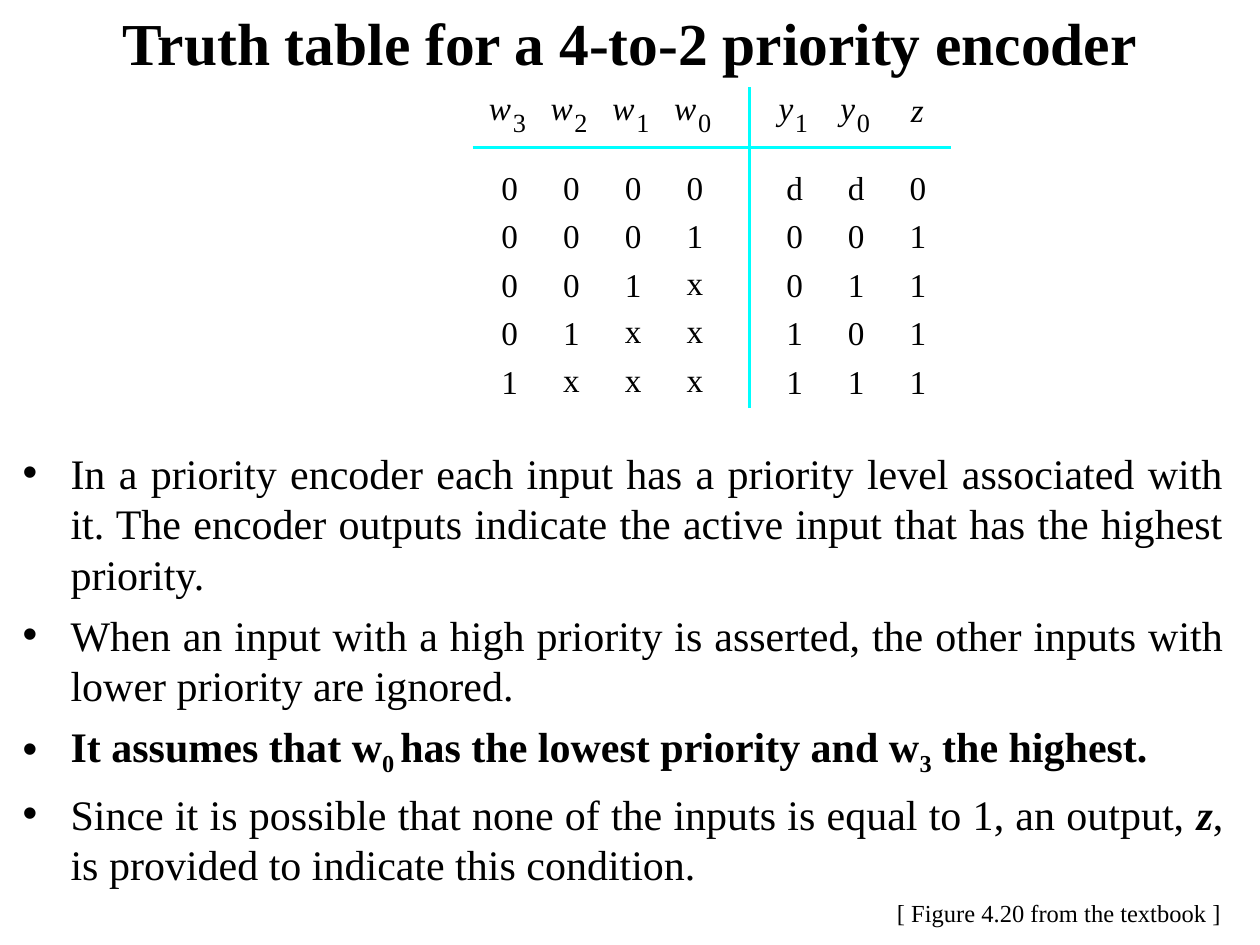
from dataclasses import dataclass

from lxml.etree import SubElement
from pptx import Presentation
from pptx.dml.color import RGBColor
from pptx.enum.shapes import MSO_CONNECTOR
from pptx.enum.text import MSO_ANCHOR, MSO_AUTO_SIZE, PP_ALIGN
from pptx.oxml.ns import qn
from pptx.util import Pt

SCALE = 9144  # EMU per px, 100 px to the inch


@dataclass
class Theme:
    font: str = "Times New Roman"
    ink: RGBColor = RGBColor(0, 0, 0)
    rule: RGBColor = RGBColor(0, 255, 255)
    head: int = 34
    body: int = 24
    cell: int = 19
    sub: int = 15
    note: int = 14


class Deck:
    def __init__(self, theme, width, height):
        self.theme = theme
        self.prs = Presentation()
        self.prs.slide_width = width * SCALE
        self.prs.slide_height = height * SCALE
        self.slide = self.prs.slides.add_slide(self.prs.slide_layouts[1])

    def style(self, run, size, bold=False, italic=False):
        font = run.font
        font.name, font.size = self.theme.font, Pt(size)
        font.bold, font.italic = bold, italic
        font.color.rgb = self.theme.ink

    def place(self, shape, box):
        shape.left, shape.top, shape.width, shape.height = (n * SCALE for n in box)

    def title(self, text, box):
        shape = self.slide.shapes.title
        self.place(shape, box)
        frame = shape.text_frame
        frame.text = text
        frame.auto_size = MSO_AUTO_SIZE.NONE
        frame.vertical_anchor = MSO_ANCHOR.TOP
        frame.paragraphs[0].alignment = PP_ALIGN.CENTER
        self.style(frame.paragraphs[0].runs[0], self.theme.head, bold=True)

    def bullets(self, items, box, indent):
        """Each item is a list of (text, marks): b bold, i italic, s subscript."""
        shape = self.slide.placeholders[1]
        self.place(shape, box)
        frame = shape.text_frame
        frame.auto_size = MSO_AUTO_SIZE.NONE
        for n, item in enumerate(items):
            para = frame.add_paragraph() if n else frame.paragraphs[0]
            para.alignment = PP_ALIGN.JUSTIFY
            para.space_before, para.space_after = Pt(0), Pt(6)
            props = para._p.get_or_add_pPr()
            props.set("marL", str(indent * SCALE))
            props.set("indent", str(-indent * SCALE))
            SubElement(props, qn("a:buChar")).set("char", "•")
            for text, marks in item:
                run = para.add_run()
                run.text = text
                self.style(run, self.theme.body, "b" in marks, "i" in marks)
                if "s" in marks:
                    run._r.get_or_add_rPr().set("baseline", "-25000")

    def label(self, text, box, size, italic=False, inset=0, wrap=True):
        shape = self.slide.shapes.add_textbox(*(n * SCALE for n in box))
        frame = shape.text_frame
        frame.text = text
        frame.word_wrap = wrap
        frame.auto_size = MSO_AUTO_SIZE.SHAPE_TO_FIT_TEXT
        if not inset:
            frame.margin_left = frame.margin_right = 0
            frame.margin_top = frame.margin_bottom = 0
        self.style(frame.paragraphs[0].runs[0], size, italic=italic)

    def line(self, *ends):
        wire = self.slide.shapes.add_connector(
            MSO_CONNECTOR.STRAIGHT, *(n * SCALE for n in ends))
        wire.line.color.rgb = self.theme.rule
        wire.line.width = Pt(1.88)
        SubElement(wire._element.spPr, qn("a:effectLst"))


HEADS = ["w3", "w2", "w1", "w0", "y1", "y0", "z"]
ROWS = ["0000dd0", "0001001", "001x011", "01xx101", "1xxx111"]
# Letter: shift from the column, top, width, step to the subscript
SHAPES = {"w": (-10, 69, 34, 19), "y": (-6, 69, 27, 13), "z": (1, 71, 27, 0)}
POINTS = [
    [("In a priority encoder each input has a priority level associated with "
      "it. The encoder outputs indicate the active input that has the highest "
      "priority.", "")],
    [("When an input with a high priority is asserted, the other inputs with "
      "lower priority are ignored.", "")],
    [("It assumes that w", "b"), ("0 ", "bs"),
     ("has the lowest priority and w", "b"), ("3", "bs"),
     (" the highest.", "b")],
    [("Since it is possible that none of the inputs is equal to 1, an output, ",
      ""), ("z", "bi"), (", is provided to indicate this condition.", "")],
]


def main():
    theme = Theme()
    deck = Deck(theme, 1000, 750)

    # Table rules
    deck.line(375, 117, 755, 117)
    deck.line(595, 324, 595, 69)

    # Inputs and outputs sit either side of the upright rule
    cols = [398 + 49 * n for n in range(4)] + [624 + 49 * n for n in range(3)]

    # Column heads
    for name, left in zip(HEADS, cols):
        shift, top, width, step = SHAPES[name[0]]
        left += shift
        deck.label(name[0], (left, top, width, 40), theme.cell, italic=True)
        if name[1:]:
            deck.label(name[1:], (left + step, 84, 23, 32), theme.sub)

    # Truth values, with each x set a little higher
    for n, row in enumerate(ROWS):
        top = 133 + n * 77 // 2
        for value, left in zip(row, cols):
            lift = 2 if value == "x" else 0
            deck.label(value, (left, top - lift, 29, 40), theme.cell)

    # Title, points and source note
    deck.title("Truth table for a 4-to-2 priority encoder", (0, 0, 1000, 61))
    deck.bullets(POINTS, (8, 350, 973, 358), 38)
    deck.label("[ Figure 4.20 from the textbook ]", (702, 708, 279, 34),
               theme.note, inset=1, wrap=False)

    deck.prs.save("out.pptx")


if __name__ == "__main__":
    main()
